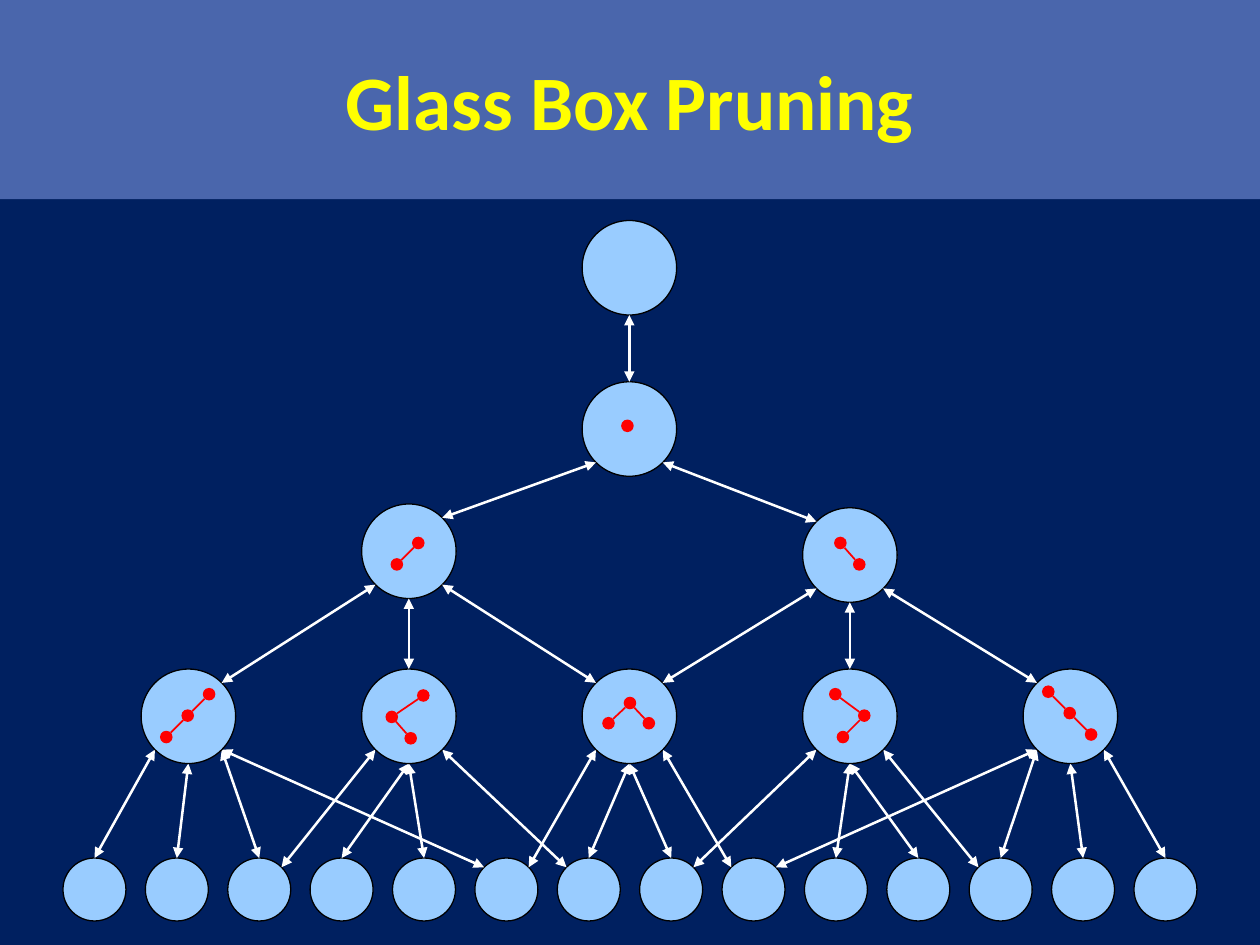
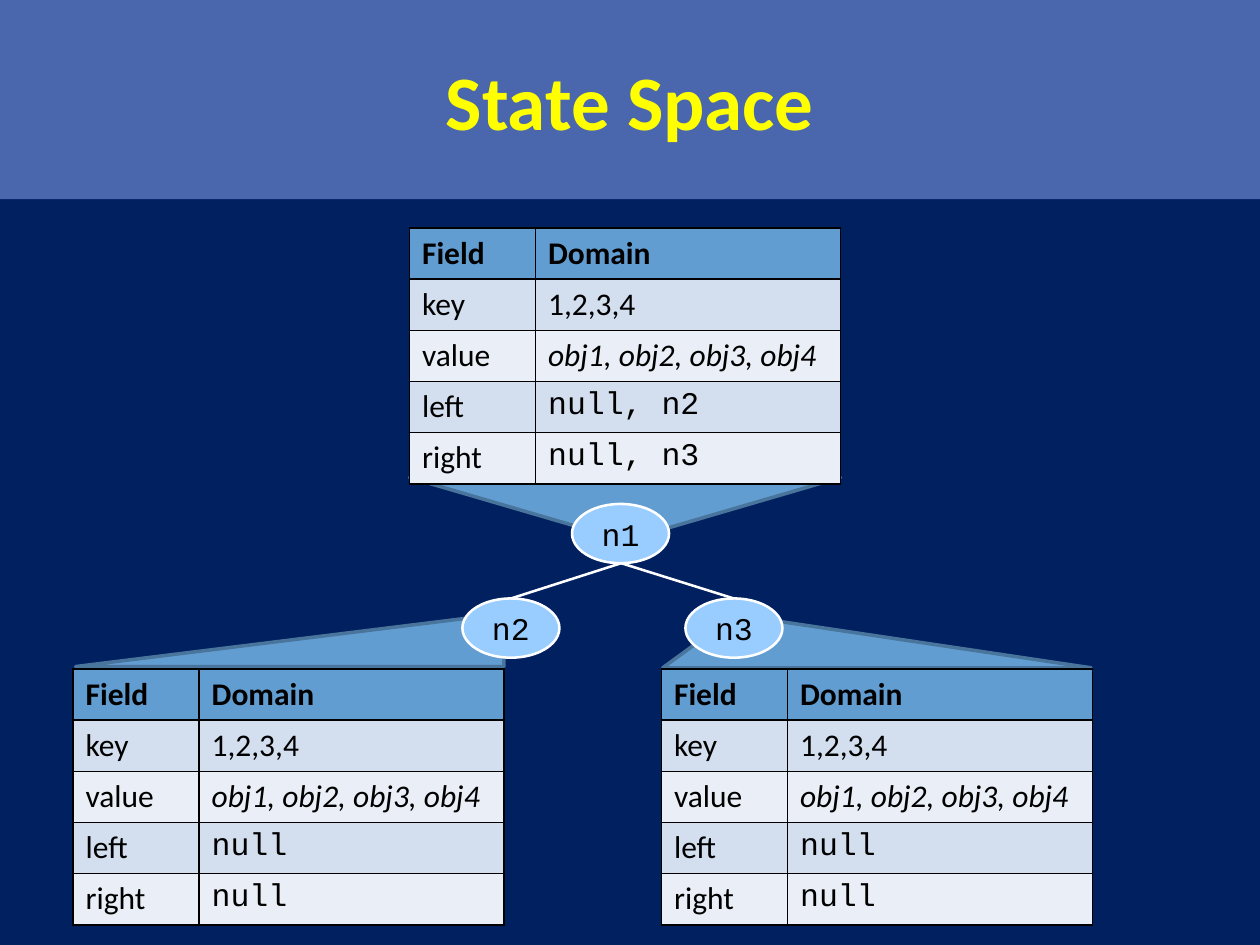
import math

import pptx
import pptx.dml.color
import pptx.enum.shapes
import pptx.enum.text
import pptx.oxml.ns
import pptx.util
from lxml import etree

Inches = pptx.util.Inches
Pt = pptx.util.Pt
SHAPE = pptx.enum.shapes.MSO_SHAPE
ANCHOR = pptx.enum.text.MSO_ANCHOR
ALIGN = pptx.enum.text.PP_ALIGN

NAVY, BAND, YELLOW = "002060", "4A66AC", "FFFF00"
WHITE, BLACK, RED = "FFFFFF", "000000", "FF0000"
NODE_BLUE, HEADER_BLUE, CALLOUT_EDGE = "99CCFF", "629DD1", "49749B"
ROW_TINTS = ("EAEFF7", "D3DFEE")
SANS, MONO = "Calibri", "Courier New"
LINK_WIDTH = 1.45

NODE_SIZE, LEAF_SIZE, DOT_SIZE = 0.75, 0.5, 0.1
COLUMN_LEFT, COLUMN_STEP = 1.12, 1.75
LEAF_TOP, LEAF_COUNT = 6.81, 14
LEAF_STEP = 8.5 / (LEAF_COUNT - 1)

# Node: (column, top, corners of its dots, joined in order)
NODES = {
    "empty": (2, 1.75, []),
    "single": (2, 3.03, [(4.93, 3.33)]),
    "left pair": (1, 4.00, [(3.27, 4.26), (3.10, 4.43)]),
    "right pair": (3, 4.03, [(6.62, 4.26), (6.77, 4.43)]),
    "triple 0": (0, 5.31, [(1.61, 5.46), (1.44, 5.63), (1.27, 5.80)]),
    "triple 1": (1, 5.31, [(3.31, 5.47), (3.06, 5.64), (3.21, 5.81)]),
    "triple 2": (2, 5.31, [(4.78, 5.69), (4.95, 5.53), (5.10, 5.69)]),
    "triple 3": (3, 5.31, [(6.58, 5.46), (6.81, 5.63), (6.64, 5.80)]),
    "triple 4": (4, 5.31, [(8.27, 5.44), (8.44, 5.61), (8.61, 5.78)]),
}
# (parent, side it leaves from: -1 left, 0 middle, 1 right, child)
NODE_LINKS = [
    ("empty", 0, "single"),
    ("single", -1, "left pair"), ("single", 1, "right pair"),
    ("left pair", -1, "triple 0"), ("left pair", 0, "triple 1"),
    ("left pair", 1, "triple 2"), ("right pair", -1, "triple 2"),
    ("right pair", 0, "triple 3"), ("right pair", 1, "triple 4"),
]
# For each triple: (side it leaves from, leaf, side of the leaf)
LEAF_LINKS = [
    [(-1, 0, 0), (0, 1, 0), (1, 2, 0), (1, 5, -1)],
    [(-1, 2, 1), (0, 3, 0), (0, 4, 0), (1, 6, -1)],
    [(-1, 5, 1), (0, 6, 0), (0, 7, 0), (1, 8, -1)],
    [(-1, 7, 1), (0, 9, 0), (0, 10, 0), (1, 11, -1)],
    [(1, 13, 0), (0, 12, 0), (-1, 11, 0), (-1, 8, 1)],
]


def rgb(colour):
    return pptx.dml.color.RGBColor.from_string(colour)


def set_all(target, values):
    for name, value in values.items():
        setattr(target, name, value)


def style_text(paragraph, font, size, colour, bold=False, italic=False):
    set_all(paragraph.font, {"name": font, "size": Pt(size), "bold": bold, "italic": italic})
    paragraph.font.color.rgb = rgb(colour)


def add_titled_slide(deck, heading):
    slide = deck.slides.add_slide(deck.slide_layouts[5])
    title = slide.shapes.title
    set_all(title, {"left": 0, "top": 0, "width": Inches(10), "height": Inches(1.58)})
    title.fill.solid()
    title.fill.fore_color.rgb = rgb(BAND)
    title.text_frame.text = heading
    title.text_frame.vertical_anchor = ANCHOR.MIDDLE
    paragraph = title.text_frame.paragraphs[0]
    paragraph.alignment = ALIGN.CENTER
    style_text(paragraph, SANS, 44, YELLOW, bold=True)
    return slide


def add_figure(slide, kind, left, top, width, height, fill, edge=None, edge_width=0.75):
    figure = slide.shapes.add_shape(
        kind, Inches(left), Inches(top), Inches(width), Inches(height))
    figure.shadow.inherit = False
    figure.fill.solid()
    figure.fill.fore_color.rgb = rgb(fill)
    if edge:
        figure.line.color.rgb = rgb(edge)
        figure.line.width = Pt(edge_width)
    else:
        figure.line.fill.background()
    return figure


def add_circle(slide, left, top, size, fill=NODE_BLUE, edge=BLACK):
    return add_figure(slide, SHAPE.OVAL, left, top, size, size, fill, edge)


def add_line(slide, start, end, colour=WHITE, width=LINK_WIDTH, arrows=False):
    line = slide.shapes.add_connector(
        pptx.enum.shapes.MSO_CONNECTOR.STRAIGHT, *(Inches(v) for v in (*start, *end)))
    line.line.color.rgb = rgb(colour)
    line.line.width = Pt(width)
    if arrows:
        outline = line.line._get_or_add_ln()
        for tip in ("a:headEnd", "a:tailEnd"):
            etree.SubElement(outline, pptx.oxml.ns.qn(tip), type="triangle")
    etree.SubElement(line._element.spPr, pptx.oxml.ns.qn("a:effectLst"))
    return line


def rim_point(left, top, size, side, down):
    """Point on a circle's rim: side -1, 0 or 1 across, down -1 (upper) or 1 (lower)."""
    radius = size / 2
    reach = radius / math.hypot(side, down)
    return left + radius + side * reach, top + radius + down * reach


def node_box(name):
    column, top, _ = NODES[name]
    return COLUMN_LEFT + COLUMN_STEP * column, top, NODE_SIZE


def leaf_box(index):
    return 0.5 + LEAF_STEP * index, LEAF_TOP, LEAF_SIZE


def add_link(slide, parent, side, child, child_side):
    add_line(slide, rim_point(*parent, side, 1), rim_point(*child, child_side, -1), arrows=True)


def add_dot_chain(slide, dots):
    radius = DOT_SIZE / 2
    for dot in dots:
        add_circle(slide, *dot, DOT_SIZE, RED, None)
    for (x1, y1), (x2, y2) in zip(dots, dots[1:]):
        length = math.hypot(x2 - x1, y2 - y1)
        dx, dy = (x2 - x1) * radius / length, (y2 - y1) * radius / length
        add_line(slide, (x1 + radius + dx, y1 + radius + dy),
                 (x2 + radius - dx, y2 + radius - dy), RED, 1)


def build_pruning_slide(deck):
    slide = add_titled_slide(deck, "Glass Box Pruning")
    for index in range(LEAF_COUNT):
        add_circle(slide, *leaf_box(index))
    for triple, links in enumerate(LEAF_LINKS):
        for side, leaf, leaf_side in links:
            add_link(slide, node_box(f"triple {triple}"), side, leaf_box(leaf), leaf_side)
    for name, (_, _, dots) in NODES.items():
        add_circle(slide, *node_box(name))
        add_dot_chain(slide, dots)
    for parent, side, child in NODE_LINKS:
        add_link(slide, node_box(parent), side, node_box(child), -side)


def add_callout(slide, left, top, width, height, apex=0.5, rotation=0):
    callout = add_figure(slide, SHAPE.ISOSCELES_TRIANGLE, left, top, width, height,
                         HEADER_BLUE, CALLOUT_EDGE, 2)
    callout.adjustments[0] = apex
    callout.rotation = rotation


def add_tree_node(slide, label, left, top):
    node = add_figure(slide, SHAPE.OVAL, left, top, 0.77, 0.47, NODE_BLUE, WHITE, LINK_WIDTH)
    set_all(node.text_frame, {
        "text": label, "word_wrap": False, "vertical_anchor": ANCHOR.MIDDLE,
        "margin_left": Inches(0.1), "margin_right": Inches(0.1),
        "margin_top": Inches(0.06), "margin_bottom": Inches(0.06)})
    paragraph = node.text_frame.paragraphs[0]
    paragraph.alignment = ALIGN.CENTER
    style_text(paragraph, MONO, 18, BLACK)
    return node


def add_borders(cell):
    properties = cell._tc.get_or_add_tcPr()
    for position, side in enumerate(("a:lnL", "a:lnR", "a:lnT", "a:lnB")):
        border = etree.Element(pptx.oxml.ns.qn(side), w=str(Pt(1)))
        fill = etree.SubElement(border, pptx.oxml.ns.qn("a:solidFill"))
        etree.SubElement(fill, pptx.oxml.ns.qn("a:srgbClr"), val=BLACK)
        properties.insert(position, border)


def add_domain_table(slide, left, top, left_domain, right_domain):
    rows = [("Field", "Domain", SANS), ("key", "1,2,3,4", SANS),
            ("value", "obj1, obj2, obj3, obj4", SANS),
            ("left", left_domain, MONO), ("right", right_domain, MONO)]
    table = slide.shapes.add_table(
        len(rows), 2, Inches(left), Inches(top), Inches(3.42), Inches(2.03)).table
    table.columns[0].width, table.columns[1].width = Inches(1), Inches(2.42)
    for r, (field, domain, domain_font) in enumerate(rows):
        for c, (text, font) in enumerate([(field, SANS), (domain, domain_font)]):
            cell = table.cell(r, c)
            cell.text = text
            style_text(cell.text_frame.paragraphs[0], font, 18, BLACK,
                       bold=r == 0, italic=text.startswith("obj"))
            cell.fill.solid()
            cell.fill.fore_color.rgb = rgb(ROW_TINTS[r % 2] if r else HEADER_BLUE)
            add_borders(cell)


def build_state_slide(deck):
    slide = add_titled_slide(deck, "State Space")
    add_callout(slide, 0.6, 4.87, 3.4, 0.42, apex=1)
    add_callout(slide, 5.26, 4.88, 3.4, 0.42, apex=0.17)
    add_callout(slide, 3.25, 3.79, 3.42, 0.5, rotation=180)
    add_tree_node(slide, "n1", 4.54, 4)
    for label, left in (("n2", 3.67), ("n3", 5.44)):
        child = add_tree_node(slide, label, left, 4.75)
        branch = add_line(slide, (4.93, 4.47), (left + 0.38, 4.75))
        branch.end_connect(child, 0)
    add_domain_table(slide, 3.25, 1.81, "null, n2", "null, n3")
    for left in (0.58, 5.25):
        add_domain_table(slide, left, 5.31, "null", "null")


def main():
    deck = pptx.Presentation()
    deck.slide_width, deck.slide_height = Inches(10), Inches(7.5)
    backdrop = deck.slide_master.background.fill
    backdrop.solid()
    backdrop.fore_color.rgb = rgb(NAVY)
    build_pruning_slide(deck)
    build_state_slide(deck)
    deck.save("out.pptx")


if __name__ == "__main__":
    main()
